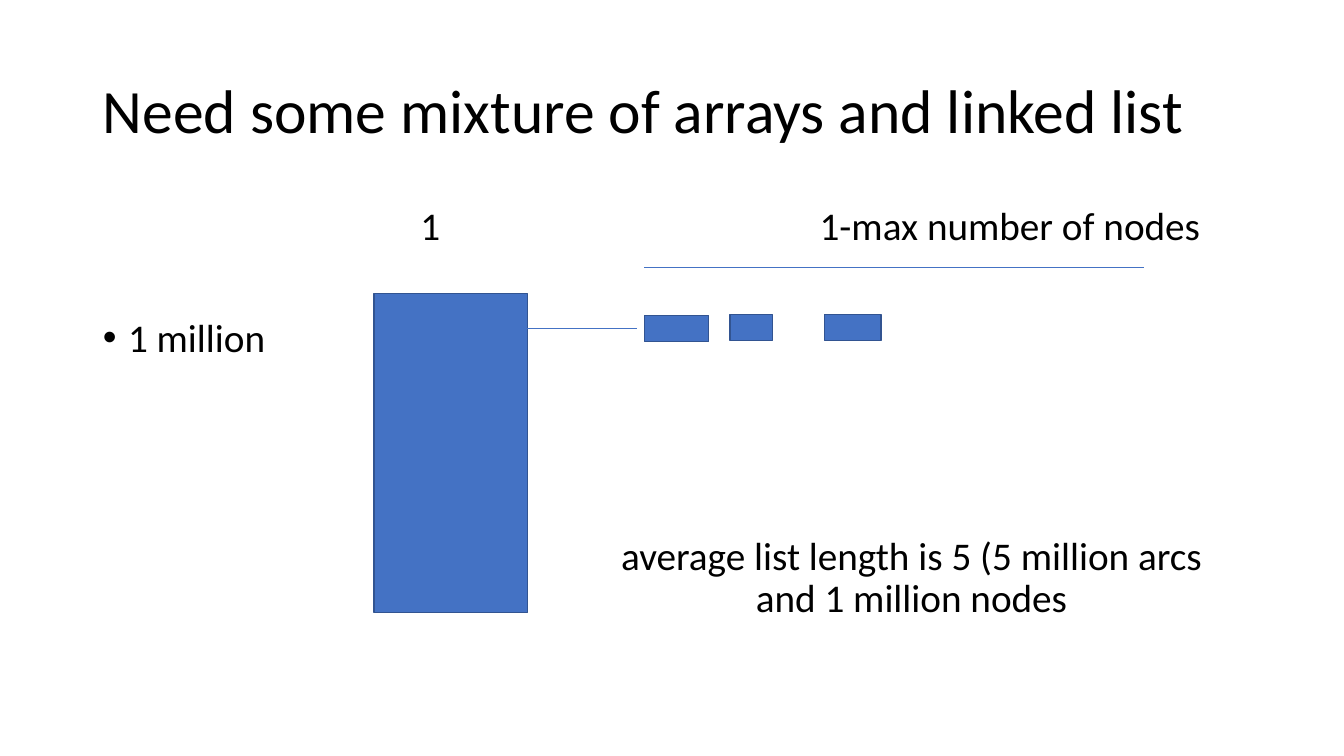
from lxml import etree
from pptx import Presentation, util as u
from pptx.dml.color import RGBColor
from pptx.enum import shapes, text
from pptx.oxml.ns import qn

PX = u.Inches(1) // 100
BLACK = RGBColor(0x00, 0x00, 0x00)
BLUE = RGBColor(0x44, 0x72, 0xC4)
OUTLINE = RGBColor(0x32, 0x54, 0x91)
FONT = "Calibri"


def add_text(page, wording, left, top, width, height, size=28,
             align=text.PP_ALIGN.LEFT, anchor=text.MSO_ANCHOR.TOP, bullet=False):
    """Place one paragraph of text in a box without margins at the given px."""
    box = page.shapes.add_textbox(left * PX, top * PX, width * PX, height * PX)
    frame = box.text_frame
    frame.word_wrap = True
    frame.vertical_anchor = anchor
    frame.margin_left = frame.margin_right = 0
    frame.margin_top = frame.margin_bottom = 5 * PX
    para = frame.paragraphs[0]
    para.alignment = align
    para.line_spacing = 0.9
    span = para.add_run()
    span.text = wording
    span.font.name = FONT
    span.font.size = u.Pt(size)
    span.font.color.rgb = BLACK
    if bullet:
        layout = para._p.get_or_add_pPr()
        layout.set("marL", str(25 * PX))
        layout.set("indent", str(-25 * PX))
        etree.SubElement(layout, qn("a:buFont"), typeface="Arial")
        etree.SubElement(layout, qn("a:buChar"), char="•")


def add_block(page, left, top, width, height):
    """Draw a blue outlined rectangle."""
    block = page.shapes.add_shape(shapes.MSO_SHAPE.RECTANGLE, left * PX, top * PX,
                                  width * PX, height * PX)
    block.shadow.inherit = False
    block.fill.solid()
    block.fill.fore_color.rgb = BLUE
    block.line.color.rgb = OUTLINE
    block.line.width = u.Pt(1)


def add_rule(page, left, right, y):
    """Draw a thin horizontal line."""
    rule = page.shapes.add_connector(shapes.MSO_CONNECTOR.STRAIGHT, left * PX, y * PX,
                                     right * PX, y * PX)
    rule.line.color.rgb = BLUE
    rule.line.width = u.Pt(0.5)
    etree.SubElement(rule._element.spPr, qn("a:effectLst"))


def add_array(page, left, top, width, height):
    """Draw the array column with its size labels."""
    add_block(page, left, top, width, height)
    add_text(page, "1", left + 46, top - 91, 60, 48)
    add_text(page, "1 million", left - 269, top + 20, 240, 48, bullet=True)


def add_linked_list(page, left, top, width, height):
    """Draw the list nodes under their span line, with labels above and below."""
    add_rule(page, left, left + width, top)
    add_rule(page, left - 116, left - 7, top + 61)
    for offset, drop, node_width in ((0, 48, 64), (85, 47, 42), (179, 47, 56)):
        add_block(page, left + offset, top + drop, node_width, 26)
    add_text(page, "1-max number of nodes", left + 174, top - 65, 420, 48)
    add_text(page, "average list length is 5 (5 million arcs and 1 million nodes",
             left - 35, top + height - 95, 600, 95, align=text.PP_ALIGN.CENTER)


def main():
    """Build and save the slide."""
    deck = Presentation()
    deck.slide_width, deck.slide_height = 1333 * PX, 750 * PX
    page = deck.slides.add_slide(deck.slide_layouts[6])
    add_text(page, "Need some mixture of arrays and linked list", 102, 40, 1130, 145,
             size=44, anchor=text.MSO_ANCHOR.MIDDLE)
    add_array(page, 371, 291, 152, 317)
    add_linked_list(page, 639, 265, 496, 357)
    deck.save("out.pptx")


if __name__ == "__main__":
    main()
